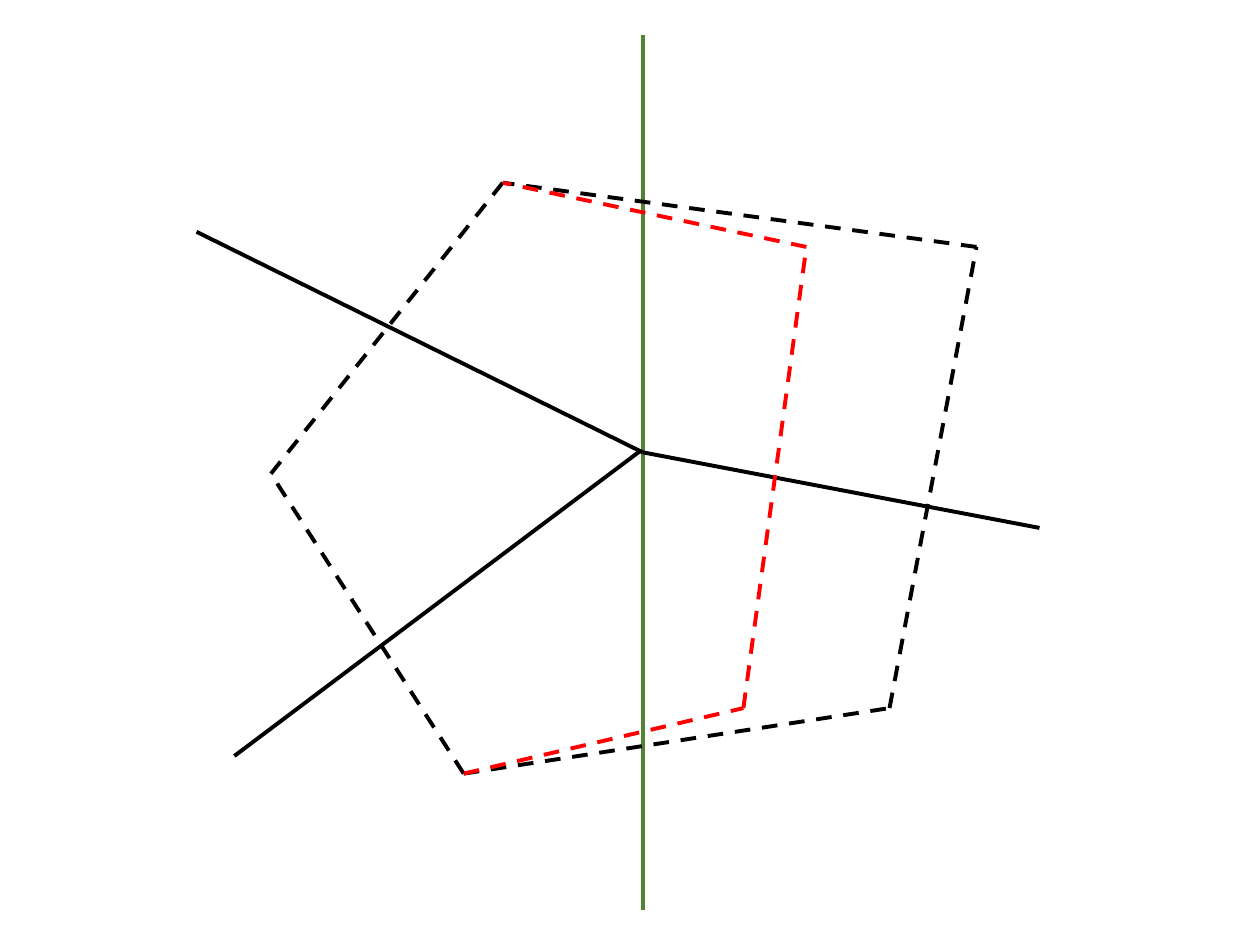
"""Build a slide of three rays, a vertical axis and two dashed outlines."""
from pptx import Presentation
from pptx.dml.color import RGBColor
from pptx.enum.dml import MSO_LINE
from pptx.enum.shapes import MSO_CONNECTOR
from pptx.oxml.ns import qn
from pptx.util import Inches, Pt
from lxml.etree import SubElement

COLORS = {"axis": "548235", "black": "000000", "red": "FF0000"}

CENTER = (5.1, 3.59)
AXIS_ENDS = [(5.1, 7.22), (5.1, 0.28)]
UPPER_RAY_END = (1.56, 1.84)
RIGHT_RAY_END = (8.25, 4.19)
LOWER_RAY = [(1.86, 6), (5.08, 3.58)]

TOP = (3.99, 1.45)
LEFT = (2.15, 3.76)
BOTTOM = (3.68, 6.14)
OUTER_RIGHT = [(7.06, 5.62), (7.75, 1.96)]
INNER_RIGHT = [(5.9, 5.62), (6.4, 1.96)]


def add_line(page, start, end, color, dashed=False):
    line = page.shapes.add_connector(
        MSO_CONNECTOR.STRAIGHT, *(Inches(value) for value in (*start, *end))
    )
    line.line.color.rgb = RGBColor.from_string(COLORS[color])
    line.line.width = Pt(2.25)
    if dashed:
        line.line.dash_style = MSO_LINE.DASH
    SubElement(line._element.spPr, qn("a:effectLst"))


def add_dashed_path(page, points, color):
    for start, end in zip(points, points[1:]):
        add_line(page, start, end, color, dashed=True)


def main():
    deck = Presentation()
    deck.slide_width, deck.slide_height = Inches(10), Inches(7.5)
    page = deck.slides.add_slide(deck.slide_layouts[6])

    for end in AXIS_ENDS:
        add_line(page, CENTER, end, "axis")
    for end in (UPPER_RAY_END, RIGHT_RAY_END):
        add_line(page, CENTER, end, "black")
    add_line(page, *LOWER_RAY, "black")

    add_dashed_path(page, [OUTER_RIGHT[1], TOP], "black")
    add_dashed_path(page, [BOTTOM, OUTER_RIGHT[0]], "black")
    add_dashed_path(page, [BOTTOM, LEFT], "black")
    add_dashed_path(page, [TOP, LEFT], "black")
    add_dashed_path(page, OUTER_RIGHT, "black")
    add_dashed_path(page, [INNER_RIGHT[1], TOP], "red")
    add_dashed_path(page, [BOTTOM, *INNER_RIGHT], "red")

    deck.save("out.pptx")


if __name__ == "__main__":
    main()
